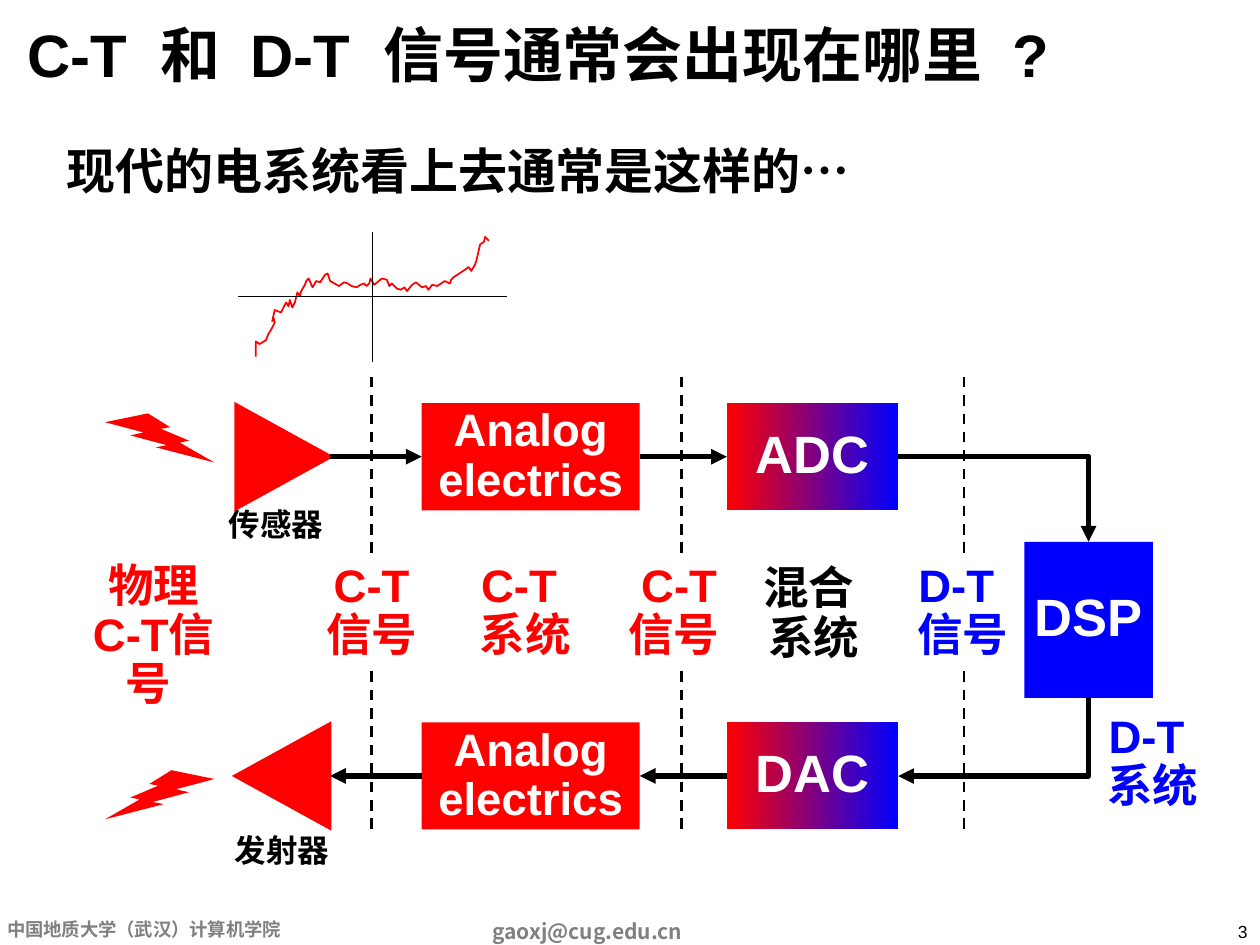
import pptx
import pptx.dml.color
import pptx.enum.dml
import pptx.enum.shapes
import pptx.enum.text
import pptx.oxml.ns
import pptx.util
from lxml import etree

Pt = pptx.util.Pt
Shape = pptx.enum.shapes.MSO_SHAPE
Align = pptx.enum.text.PP_ALIGN
Anchor = pptx.enum.text.MSO_ANCHOR
qn = pptx.oxml.ns.qn

COLORS = {"red": "FF0000", "blue": "0000FF", "black": "000000",
          "white": "FFFFFF", "gray": "808080"}
CJK_FONT = "Noto Sans CJK SC"
BODY = {"name": "Arial", "bold": True}
LABEL = {**BODY, "size": Pt(26)}
CAPTION = {**BODY, "size": Pt(18)}
CHIP = {**BODY, "size": Pt(30)}
NOISY_TRACE = [
    (14, 99), (14, 87), (17, 89), (22, 86), (24, 81), (26, 78), (27, 76), (29, 72),
    (28, 68), (27, 71), (29, 62), (34, 64), (38, 56), (40, 59), (41, 54), (43, 60),
    (45, 56), (47, 48), (49, 51), (50, 47), (53, 42), (54, 39), (56, 37), (59, 44),
    (62, 39), (65, 40), (69, 34), (71, 33), (73, 39), (80, 43), (84, 40), (87, 41),
    (90, 43), (94, 44), (97, 42), (100, 41), (102, 43), (104, 41), (105, 37),
    (108, 42), (114, 37), (118, 38), (120, 43), (122, 41), (126, 45), (129, 46),
    (132, 44), (134, 47), (138, 42), (141, 40), (146, 44), (149, 43), (151, 46),
    (154, 42), (158, 43), (164, 39), (168, 41), (169, 38), (171, 36), (177, 32),
    (183, 28), (185, 31), (188, 26), (189, 23), (192, 10), (195, 8), (196, 4), (199, 7)]


def rgb(color):
    return pptx.dml.color.RGBColor.from_string(COLORS[color])


def write(shape, lines, font, color, align=Align.LEFT, spacing=1.0,
          anchor=Anchor.TOP, wrap=True, gap=0):
    frame = shape.text_frame
    frame.word_wrap = wrap
    frame.vertical_anchor = anchor
    for index, line in enumerate(lines):
        para = frame.add_paragraph() if index else frame.paragraphs[0]
        para.alignment = align
        para.line_spacing = spacing
        pieces = line.replace(" ", "| |").split("|") if gap else [line]
        for piece in pieces:
            span = para.add_run()
            span.text = piece
            for name, value in font.items():
                setattr(span.font, name, value)
            span.font.color.rgb = rgb(color)
            props = span._r.get_or_add_rPr()
            etree.SubElement(props, qn("a:ea")).set("typeface", CJK_FONT)
            if piece == " ":
                props.set("spc", str(gap * 100))


def add_text(page, box, lines, font, color, **layout):
    shape = page.shapes.add_textbox(*map(Pt, box))
    write(shape, lines, font, color, **layout)
    return shape


def add_label(page, box, lines, color, font=LABEL):
    return add_text(page, box, lines, font, color, align=Align.CENTER, spacing=0.9)


def add_figure(page, kind, box, color):
    shape = page.shapes.add_shape(kind, *map(Pt, box))
    shape.shadow.inherit = False
    shape.line.fill.background()
    shape.fill.solid()
    shape.fill.fore_color.rgb = rgb(color)
    return shape


def add_block(page, box, lines, font, color):
    block = add_figure(page, Shape.RECTANGLE, box, color)
    write(block, lines, font, "white", align=Align.CENTER, spacing=0.9,
          anchor=Anchor.MIDDLE, wrap=False)
    return block


def add_line(page, start, end, width, arrow=None, dashed=False, bent=False):
    kinds = pptx.enum.shapes.MSO_CONNECTOR
    line = page.shapes.add_connector(kinds.ELBOW if bent else kinds.STRAIGHT,
                                     *map(Pt, start + end))
    line.line.width = Pt(width)
    line.line.color.rgb = rgb("black")
    if dashed:
        line.line.dash_style = pptx.enum.dml.MSO_LINE.DASH
    properties = line._element.spPr
    if bent:
        properties.find(qn("a:prstGeom")).set("prst", "bentConnector2")
    if arrow:
        etree.SubElement(properties.find(qn("a:ln")), qn("a:" + arrow)).set("type", "triangle")
    etree.SubElement(properties, qn("a:effectLst"))


def draw_heading(page, box):
    left, top, width, height = box
    add_text(page, (left, top, width, 45.4), ["C-T 和 D-T 信号通常会出现在哪里 ?"],
             {**BODY, "size": Pt(34.2)}, "black", anchor=Anchor.MIDDLE, gap=9.5)
    add_text(page, (left + 22.4, top + 69.1, 493.2, 41), ["现代的电系统看上去通常是这样的…"],
             {**BODY, "size": Pt(28)}, "black")


def draw_plot(page, box):
    left, top, width, height = box
    builder = page.shapes.build_freeform(*NOISY_TRACE[0], scale=Pt(0.72))
    builder.add_line_segments(NOISY_TRACE[1:], close=False)
    trace = builder.convert_to_shape(Pt(left), Pt(top))
    trace.shadow.inherit = False
    trace.fill.background()
    trace.line.color.rgb = rgb("red")
    trace.line.width = Pt(1)
    add_line(page, (left, top + height / 2), (left + width, top + height / 2), 0.5)
    add_line(page, (left + width / 2, top), (left + width / 2, top + height), 0.5)


def draw_chain(page, box, converter, inbound):
    left, top, width, height = box
    middle = top + height / 2
    analog, chip = left + 181, left + 355.4
    bolt = add_figure(page, Shape.LIGHTNING_BOLT,
                      (left, top + (5.8 if inbound else 27.3), 62.6, 28.1), "red")
    if not inbound:
        bolt._element.spPr.find(qn("a:xfrm")).set("flipH", "1")
    center = left + (102.4 if inbound else 100.9)
    transducer = add_figure(page, Shape.ISOSCELES_TRIANGLE,
                            (center - 31.3, middle - 28.45, 62.6, 56.9), "red")
    transducer.rotation = 90 if inbound else 270
    add_block(page, (analog, top, 124.6, height), ["Analog", "electrics"], LABEL, "red")
    block = add_block(page, (chip, top, 97.9, height), [converter], CHIP, "red")
    block.fill.gradient()
    block.fill.gradient_angle = 0
    for stop, color in zip(block.fill.gradient_stops, ("red", "blue")):
        stop.color.rgb = rgb(color)
    for start, end in ((left + 128.6, analog), (analog + 124.6, chip)):
        add_line(page, (start, middle), (end, middle), 3,
                 arrow="tailEnd" if inbound else "headEnd")


def draw_diagram(page, box):
    left, top, width, height = box
    for offset in (152.4, 329.5, 490.8):
        add_line(page, (left + offset, top), (left + offset, top + height), 1.5, dashed=True)
    row = top + 103
    for offset, drop, size, lines, color in (
            (112.8, 0, 79.2, ["C-T 信号"], "red"),
            (192, 0, 96.5, ["C-T ", "系统"], "red"),
            (288.5, 0, 79.2, ["C-T 信号 "], "red"),
            (436.1, 0, 108, ["D-T ", "信号"], "blue"),
            (356.9, 1.4, 96.5, ["混合 ", "系统"], "black")):
        label = add_label(page, (left + offset, row + drop, size, 64.1), lines, color)
        label.fill.solid()
        label.fill.fore_color.rgb = rgb("white")
    add_label(page, (left - 23.3, row, 102.2, 92.9), ["物理", "C-T信号 "], "red")
    add_label(page, (left + 563.5, top + 189.4, 70.6, 64.1), ["D-T ", "系统"], "blue")
    add_label(page, (left + 45.8, top + 72, 108, 26.6), ["传感器 "], "black", CAPTION)
    add_label(page, (left + 22.1, top + 258.5, 158.4, 26.6), ["发射器"], "black", CAPTION)

    chain_width, chain_height = 453.3, 61.2
    for drop, converter, inbound in ((15.1, "ADC", True), (197.5, "DAC", False)):
        draw_chain(page, (left, top + drop, chain_width, chain_height), converter, inbound)
    processor_top, processor_height = top + 94.3, 89.3
    add_block(page, (left + 525.4, processor_top, 73.4, processor_height),
              ["DSP"], CHIP, "blue")
    for drop, edge, arrow in ((45.5, processor_top, "tailEnd"),
                              (228.2, processor_top + processor_height, "headEnd")):
        add_line(page, (left + chain_width, top + drop), (left + 562.1, edge), 3,
                 arrow=arrow, bent=True)


def draw_footer(page, box):
    left, top, width, height = box
    add_text(page, (left - 2.9, top, 364.3, height), ["中国地质大学（武汉）计算机学院"],
             {"name": CJK_FONT, "size": Pt(10.5), "bold": True}, "gray")
    add_text(page, (left + 274.3, top, 364.3, height), ["gaoxj@cug.edu.cn"],
             {"name": "Noto Sans CJK JP", "size": Pt(12), "bold": True}, "gray")
    add_text(page, (left + width - 167.8, top + 2.9, 167.8, 15.8), ["3"],
             {"name": "Arial", "size": Pt(10)}, "black",
             align=Align.RIGHT, anchor=Anchor.MIDDLE)


def main():
    deck = pptx.Presentation()
    deck.slide_width, deck.slide_height = Pt(720), Pt(540)
    page = deck.slides.add_slide(deck.slide_layouts[6])
    draw_footer(page, (0, 521.3, 720, 21.2))
    draw_diagram(page, (60, 215.3, 637, 259.9))
    draw_heading(page, (8.6, 7.9, 648, 110))
    draw_plot(page, (136.1, 132.5, 153.4, 74.2))
    deck.save("out.pptx")


if __name__ == "__main__":
    main()
